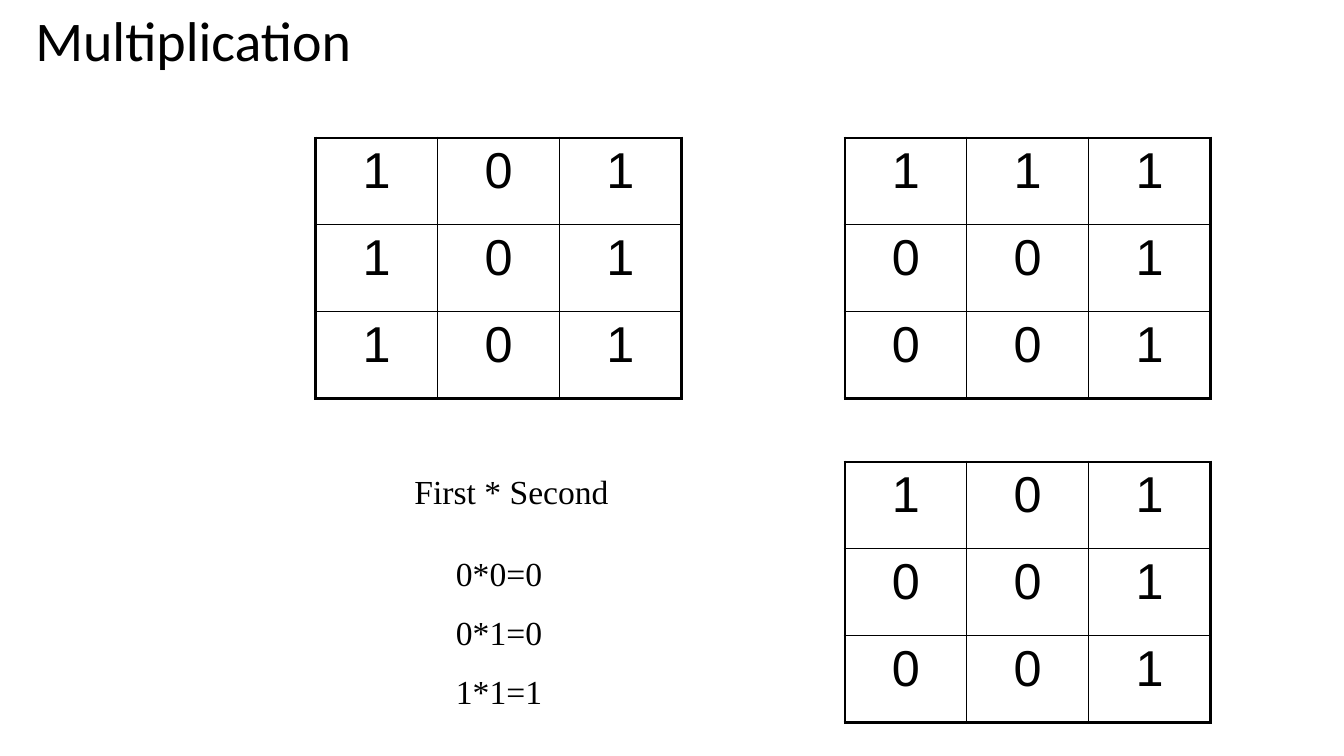
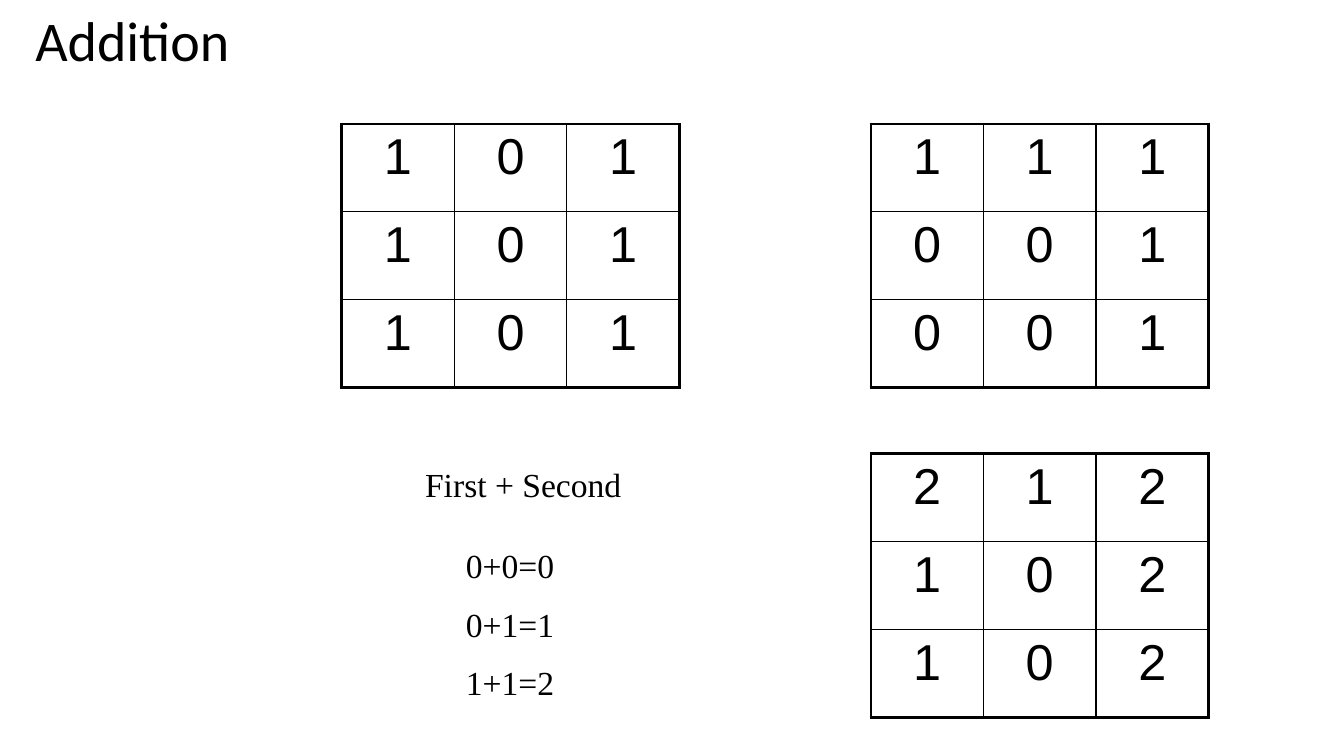
from lxml import etree
from pptx import Presentation
from pptx.dml.color import RGBColor
from pptx.enum.text import MSO_ANCHOR, MSO_AUTO_SIZE, PP_ALIGN
from pptx.oxml.ns import qn
from pptx.util import Pt

BLACK = RGBColor(0, 0, 0)
THICK, THIN = Pt(2.25), Pt(1)
GRID = 3
SECOND_COLUMN_OFFSET = 378

SLIDES = [
    {
        "title": "Multiplication", "title_width": 242.6,
        "matrices": [["101", "101", "101"], ["111", "001", "001"], ["101", "001", "001"]],
        "origin": (225.5, 98.5), "cell": (87.1, 62), "result_top": 330,
        "formula": "First * Second", "formula_box": (231.8, 332.6, 267.1, 36),
        "rules": ["0*0=0", "0*1=0", "1*1=1"], "rules_box": (236.2, 391.7, 240.5, 120),
    },
    {
        "title": "Addition", "title_width": 154.8,
        "matrices": [["101", "101", "101"], ["111", "001", "001"], ["212", "102", "102"]],
        "origin": (244.1, 88.5), "cell": (80.4, 62.8), "result_top": 324,
        "formula": "First + Second", "formula_box": (250.6, 327.6, 246.2, 36),
        "rules": ["0+0=0", "0+1=1", "1+1=2"], "rules_box": (253.4, 385.9, 221.8, 120),
    },
]


def style_paragraph(paragraph, font_name, size, alignment):
    paragraph.alignment = alignment
    paragraph.font.name = font_name
    paragraph.font.size = Pt(size)
    paragraph.font.color.rgb = BLACK


def add_title(slide, text, width):
    title = slide.shapes.title
    title.left, title.top, title.width, title.height = Pt(18), Pt(0), Pt(width), Pt(55.4)
    frame = title.text_frame
    frame.text = text
    frame.word_wrap = False
    frame.auto_size = MSO_AUTO_SIZE.SHAPE_TO_FIT_TEXT
    frame.vertical_anchor = MSO_ANCHOR.TOP
    style_paragraph(frame.paragraphs[0], "Calibri", 40, PP_ALIGN.LEFT)


def set_borders(cell, row, column):
    last = GRID - 1
    outer_sides = {"a:lnL": column == 0, "a:lnR": column == last,
                   "a:lnT": row == 0, "a:lnB": row == last}
    properties = cell._tc.get_or_add_tcPr()
    for tag, is_outer in outer_sides.items():
        line = etree.SubElement(properties, qn(tag), w=str(THICK if is_outer else THIN))
        fill = etree.SubElement(line, qn("a:solidFill"))
        etree.SubElement(fill, qn("a:srgbClr"), val=str(BLACK))


def add_matrix(slide, values, left, top, cell_width, cell_height):
    table = slide.shapes.add_table(GRID, GRID, Pt(left), Pt(top),
                                   Pt(GRID * cell_width), Pt(GRID * cell_height)).table
    table.first_row = False
    table.horz_banding = False
    for index in range(GRID):
        table.columns[index].width = Pt(cell_width)
        table.rows[index].height = Pt(cell_height)
    for row, digits in enumerate(values):
        for column, digit in enumerate(digits):
            cell = table.cell(row, column)
            cell.text = digit
            style_paragraph(cell.text_frame.paragraphs[0], "Arial", 36, PP_ALIGN.CENTER)
            set_borders(cell, row, column)
            cell.fill.background()


def add_text(slide, lines, box):
    frame = slide.shapes.add_textbox(*map(Pt, box)).text_frame
    frame.word_wrap = True
    frame.text = "\n".join(lines)
    for index, paragraph in enumerate(frame.paragraphs):
        style_paragraph(paragraph, "Times New Roman", 24, PP_ALIGN.CENTER)
        if index:
            paragraph.space_before = Pt(13)


def main():
    presentation = Presentation()
    presentation.slide_width, presentation.slide_height = Pt(960), Pt(540)
    for content in SLIDES:
        slide = presentation.slides.add_slide(presentation.slide_layouts[5])
        add_title(slide, content["title"], content["title_width"])
        left, top = content["origin"]
        right = left + SECOND_COLUMN_OFFSET
        places = [(left, top), (right, top), (right, content["result_top"])]
        for values, place in zip(content["matrices"], places):
            add_matrix(slide, values, *place, *content["cell"])
        add_text(slide, [content["formula"]], content["formula_box"])
        add_text(slide, content["rules"], content["rules_box"])
    presentation.save("out.pptx")


if __name__ == "__main__":
    main()
